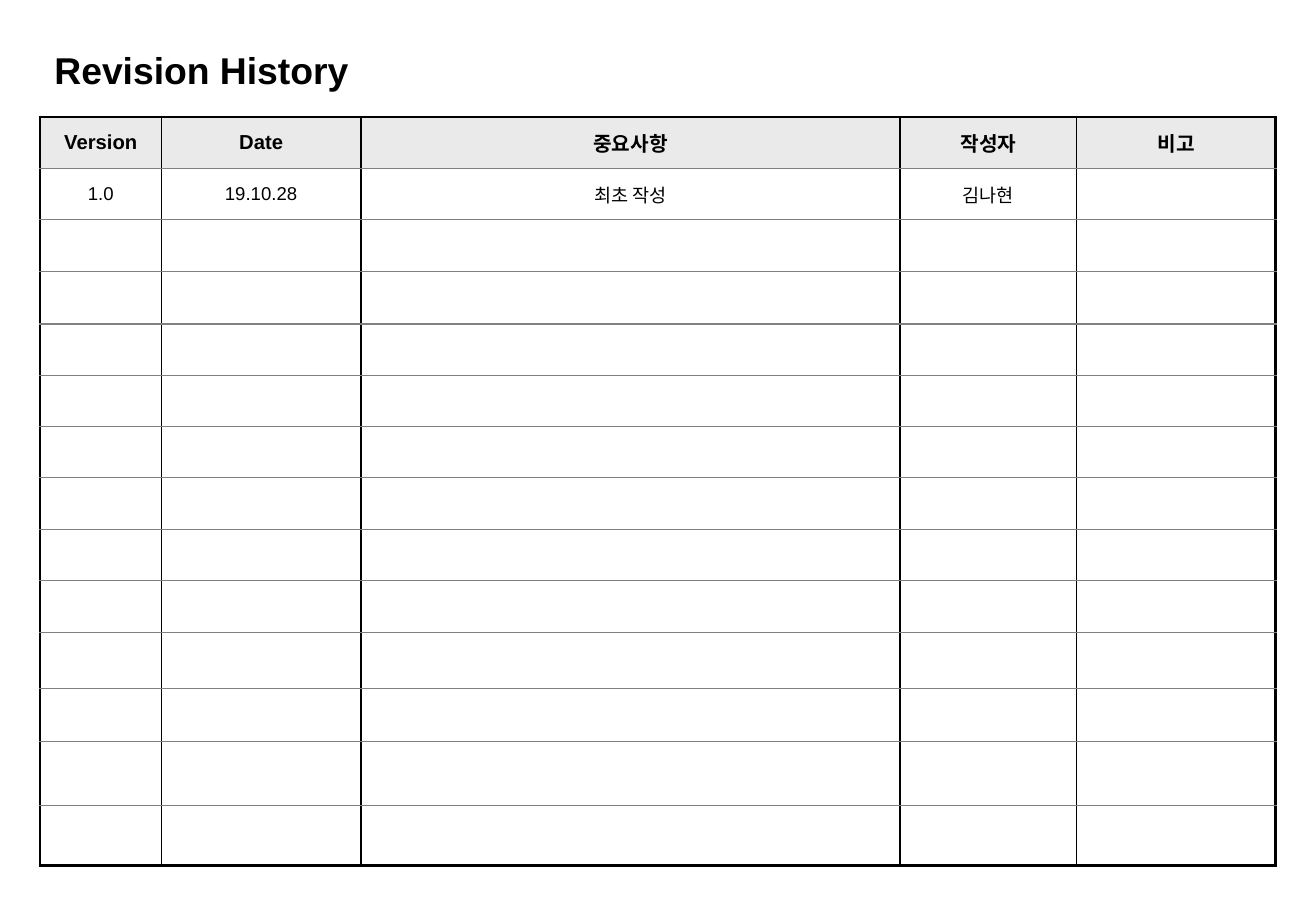
from lxml.etree import SubElement
from pptx import Presentation
from pptx.dml.color import RGBColor
from pptx.enum.text import MSO_ANCHOR, PP_ALIGN
from pptx.oxml.ns import qn
from pptx.util import Pt

BLACK = RGBColor(0x00, 0x00, 0x00)
GRAY = RGBColor(0x80, 0x80, 0x80)
HEADER_FILL = RGBColor(0xEA, 0xEA, 0xEA)
FONT = "Arial"

OUTER = (BLACK, 1.5)
COLUMN_LINE = (BLACK, 1)
ROW_LINE = (GRAY, 0.75)

COLUMN_WIDTHS = [72, 118.2, 319.7, 104.6, 117.9]
ROW_HEIGHTS = [30.6, 30.4, 30.4, 31.4] + [30.4] * 5 + [31.1, 33.2, 31.4, 37.6, 35.8]
REVISIONS = [
    ["Version", "Date", "중요사항", "작성자", "비고"],
    ["1.0", "19.10.28", "최초 작성", "김나현", ""],
]


def style_font(paragraph, size, bold):
    font = paragraph.font
    font.name, font.size, font.bold = FONT, Pt(size), bold
    font.color.rgb = BLACK


def set_margins(target, horizontal, vertical):
    target.margin_left = target.margin_right = Pt(horizontal)
    target.margin_top = target.margin_bottom = Pt(vertical)


def add_title(slide, text):
    shape = slide.shapes.add_textbox(Pt(23.7), Pt(26.6), Pt(196.6), Pt(32.4))
    frame = shape.text_frame
    frame.word_wrap = False
    frame.vertical_anchor = MSO_ANCHOR.MIDDLE
    set_margins(frame, 8.6, 4.3)
    paragraph = frame.paragraphs[0]
    paragraph.text = text
    paragraph.line_spacing = 0.9
    style_font(paragraph, 22.1, True)


def set_borders(cell, **borders):
    properties = cell._tc.get_or_add_tcPr()
    for side in "LRTB":
        color, width = borders[side]
        line = SubElement(properties, qn(f"a:ln{side}"), w=str(Pt(width)))
        fill = SubElement(line, qn("a:solidFill"))
        SubElement(fill, qn("a:srgbClr"), val=str(color))


def fill_cell(cell, text, is_header):
    size = 12 if is_header else 11
    cell.vertical_anchor = MSO_ANCHOR.MIDDLE
    set_margins(cell, 7.9, 4.3)
    if is_header:
        cell.fill.solid()
        cell.fill.fore_color.rgb = HEADER_FILL
    else:
        cell.fill.background()
    paragraph = cell.text_frame.paragraphs[0]
    paragraph.text = text
    paragraph.alignment = PP_ALIGN.CENTER
    paragraph.space_before = Pt(size * 0.2)
    style_font(paragraph, size, is_header)


def add_revision_table(slide):
    row_count, column_count = len(ROW_HEIGHTS), len(COLUMN_WIDTHS)
    table = slide.shapes.add_table(
        row_count, column_count, Pt(23.7), Pt(69.3),
        Pt(sum(COLUMN_WIDTHS)), Pt(sum(ROW_HEIGHTS))).table
    table.first_row = table.horz_banding = False
    for column, width in zip(table.columns, COLUMN_WIDTHS):
        column.width = Pt(width)

    for row, height in enumerate(ROW_HEIGHTS):
        table.rows[row].height = Pt(height)
        texts = REVISIONS[row] if row < len(REVISIONS) else [""] * column_count
        for column, text in enumerate(texts):
            cell = table.cell(row, column)
            set_borders(
                cell,
                L=OUTER if column == 0 else COLUMN_LINE,
                R=OUTER if column == column_count - 1 else COLUMN_LINE,
                T=OUTER if row == 0 else ROW_LINE,
                B=OUTER if row == row_count - 1 else ROW_LINE)
            fill_cell(cell, text, is_header=row == 0)


def main():
    presentation = Presentation()
    presentation.slide_width, presentation.slide_height = Pt(780), Pt(540)
    slide = presentation.slides.add_slide(presentation.slide_layouts[6])

    # Heading
    add_title(slide, "Revision History")

    # Revision log
    add_revision_table(slide)

    presentation.save("out.pptx")


main()
